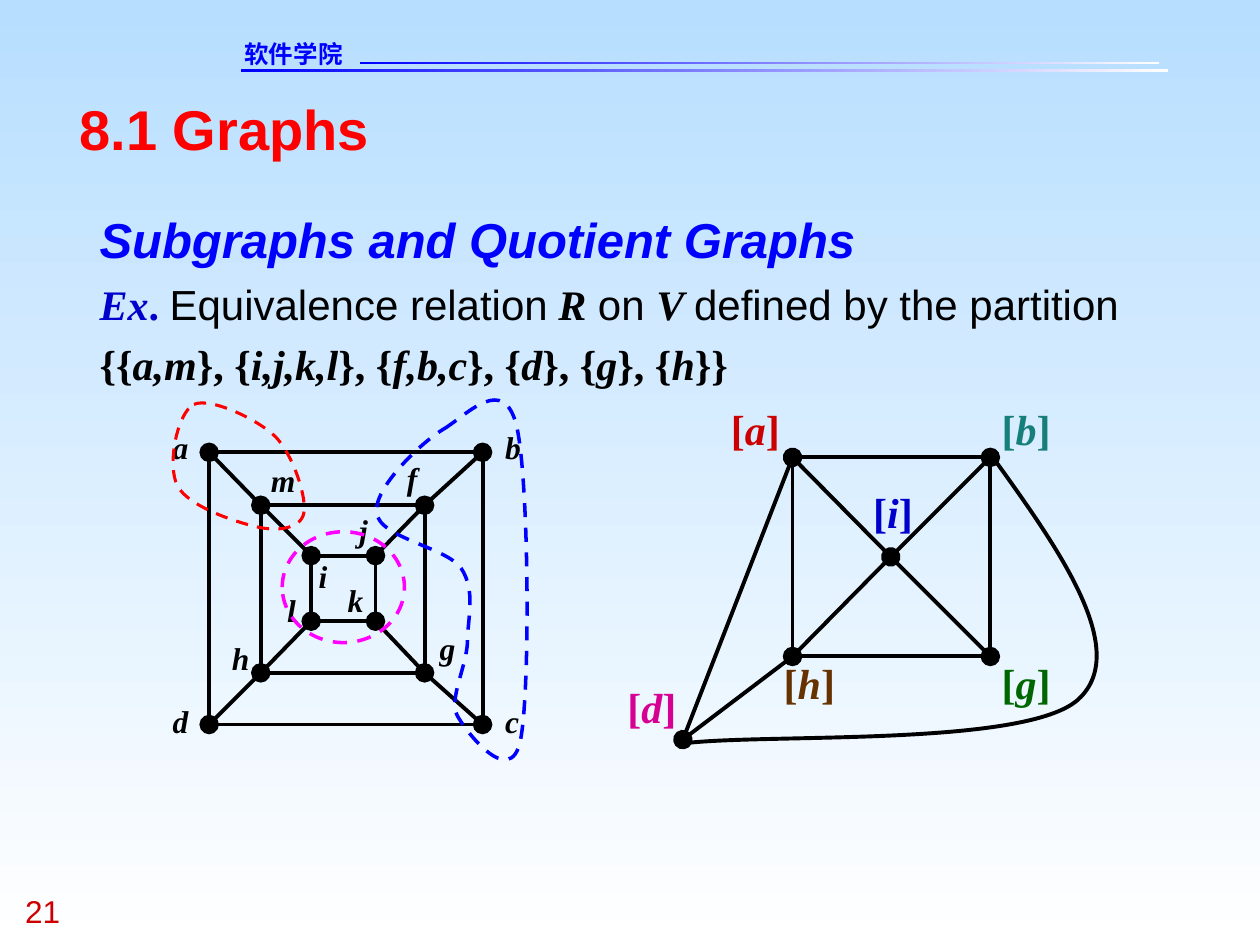
from lxml import etree
from pptx import Presentation, util as u
from pptx.dml.color import RGBColor
from pptx.enum import dml, shapes, text
from pptx.oxml.ns import qn

BLACK = RGBColor(0x00, 0x00, 0x00)
WHITE = RGBColor(0xFF, 0xFF, 0xFF)
SKY = RGBColor(0xB7, 0xDE, 0xFF)
BLUE = RGBColor(0x00, 0x00, 0xFF)
NAVY = RGBColor(0x00, 0x00, 0xCC)
RED = RGBColor(0xFF, 0x00, 0x00)
CRIMSON = RGBColor(0xCC, 0x00, 0x00)
TEAL = RGBColor(0x17, 0x7F, 0x7A)
GREEN = RGBColor(0x00, 0x66, 0x00)
BROWN = RGBColor(0x66, 0x33, 0x00)
PINK = RGBColor(0xD6, 0x00, 0x93)
MAGENTA = RGBColor(0xFF, 0x00, 0xFF)
SANS, SERIF, CHINESE = "Arial", "Times New Roman", "DejaVu Sans"

presentation = Presentation()
presentation.slide_width, presentation.slide_height = u.Inches(10), u.Inches(7.5)
CELL = presentation.slide_width // 10  # grid of 10 columns by 7.5 rows
slide = presentation.slides.add_slide(presentation.slide_layouts[5])


def set_text(shape, place, paragraphs, wrap=True, spacing=1.0):
    """Place a text shape; a run is (words, size, font, colour, style letters)."""
    shape.left, shape.top, shape.width, shape.height = [round(v * CELL) for v in place]
    frame = shape.text_frame
    frame.margin_left = frame.margin_top = frame.margin_right = frame.margin_bottom = 0
    frame.word_wrap = wrap
    frame.auto_size = text.MSO_AUTO_SIZE.NONE
    frame.vertical_anchor = text.MSO_ANCHOR.TOP
    for index, runs in enumerate(paragraphs):
        paragraph = frame.add_paragraph() if index else frame.paragraphs[0]
        paragraph.alignment = text.PP_ALIGN.LEFT
        paragraph.line_spacing = spacing
        for words, size, font, colour, style in runs:
            run = paragraph.add_run()
            run.text = words
            run.font.size, run.font.name = u.Pt(size), font
            run.font.color.rgb = colour
            run.font.bold, run.font.italic = "b" in style, "i" in style


def add_edge(start, end, dots=()):
    """Draw a graph edge, with vertex dots at the named ends."""
    ends = [round(v * CELL) for v in (*start, *end)]
    edge = slide.shapes.add_connector(shapes.MSO_CONNECTOR.STRAIGHT, *ends)
    edge.line.color.rgb, edge.line.width = BLACK, u.Pt(2.25)
    properties = edge._element.spPr
    for name in dots:
        etree.SubElement(properties.find(qn("a:ln")), qn(f"a:{name}"),
                         type="oval", w="lg", len="lg")
    etree.SubElement(properties, qn("a:effectLst"))


# Background and header rules
fills = [(slide.background.fill, SKY, WHITE, 270)]
for place in ((1.91, 0.55, 7.36, 0.02), (2.86, 0.49, 6.34, 0.02)):
    rule = slide.shapes.add_shape(shapes.MSO_SHAPE.RECTANGLE, *[round(v * CELL) for v in place])
    rule.shadow.inherit = False
    rule.line.fill.background()
    fills.append((rule.fill, WHITE, BLUE, 180))
for fill, first, last, angle in fills:
    fill.gradient()
    fill.gradient_angle = angle
    for stop, colour in zip(fill.gradient_stops, (first, last)):
        stop.color.rgb = colour

# Header, page number and title
set_text(slide.shapes.add_textbox(0, 0, 0, 0), (1.94, 0.31, 1.45, 0.23),
         [[("软件学院", 14, CHINESE, BLUE, "b")]])
set_text(slide.shapes.add_textbox(0, 0, 0, 0), (0.2, 7.08, 0.75, 0.3),
         [[("21", 18, SANS, CRIMSON, "")]])
set_text(slide.shapes.title, (0.63, 0.75, 8.75, 0.53),
         [[("8.1 Graphs", 32, SANS, RED, "b")]])

# Example text
example = [("Ex", 24, SERIF, NAVY, "bi"), (". ", 24, SERIF, NAVY, "b")]
for words, font, style in (("Equivalence relation", SANS, ""), (" R", SERIF, "bi"),
                           (" on ", SANS, ""), ("V ", SERIF, "bi"),
                           ("defined by the partition", SANS, "")):
    example.append((words, 24, font, BLACK, style))
opening = " {{"
for members in ("a,m", "i,j,k,l", "f,b,c", "d", "g", "h"):
    example.append((opening, 24, SERIF, BLACK, "b"))
    example.append((members, 24, SERIF, BLACK, "bi"))
    opening = "}, {"
example.append(("}}", 24, SERIF, BLACK, "b"))
set_text(slide.shapes.add_textbox(0, 0, 0, 0), (0.79, 1.57, 9.01, 1.52),
         [[("Subgraphs and Quotient Graphs", 28, SANS, BLUE, "bi")], example], spacing=1.2)

# Left graph: nested squares joined corner to corner
squares = [(1.66, 3.59, 3.83, 5.75), (2.07, 4.01, 3.37, 5.34), (2.47, 4.41, 2.98, 4.93)]
corners = [[(left, top), (right, top), (right, bottom), (left, bottom)]
           for left, top, right, bottom in squares]
for square in corners:
    for side in range(4):
        dots = ("headEnd", "tailEnd") if side % 2 == 0 else ()
        add_edge(square[side], square[(side + 1) % 4], dots)
for outer, inner in zip(corners, corners[1:]):
    for start, end in zip(outer, inner):
        add_edge(start, end)

for letter, left, top, width in (
        ("a", 1.37, 3.4, 0.13), ("b", 4.01, 3.4, 0.13), ("c", 4.01, 5.57, 0.11),
        ("d", 1.37, 5.57, 0.13), ("h", 1.84, 5.07, 0.14), ("i", 2.53, 4.42, 0.07),
        ("j", 2.85, 4.06, 0.07), ("g", 3.49, 4.99, 0.13), ("m", 2.15, 3.66, 0.2),
        ("f", 3.23, 3.64, 0.08), ("k", 2.76, 4.61, 0.13), ("l", 2.28, 4.69, 0.07)):
    set_text(slide.shapes.add_textbox(0, 0, 0, 0), (left, top, width, 0.3),
             [[(letter, 18, SERIF, BLACK, "bi")]], wrap=False)

# Right graph: the quotient graph
vertices = {"a": (6.29, 3.63), "b": (7.86, 3.63), "g": (7.86, 5.21),
            "h": (6.29, 5.21), "i": (7.07, 4.42), "d": (5.42, 5.87)}
for start, end, dots in (
        ("a", "h", ["tailEnd"]), ("g", "b", ["headEnd"]), ("a", "b", ["tailEnd"]),
        ("h", "g", []), ("a", "i", ["headEnd", "tailEnd"]), ("b", "i", []),
        ("h", "d", []), ("a", "d", ["tailEnd"]), ("i", "h", []), ("i", "g", [])):
    add_edge(vertices[start], vertices[end], dots)

for letter, left, top, width, colour in (
        ("a", 5.8, 3.2, 0.39, CRIMSON), ("b", 7.95, 3.2, 0.39, TEAL),
        ("g", 7.95, 5.22, 0.39, GREEN), ("h", 6.22, 5.22, 0.41, BROWN),
        ("i", 6.93, 3.86, 0.32, NAVY), ("d", 4.98, 5.41, 0.39, PINK)):
    runs = [(words, 24, SERIF, colour, style)
            for words, style in (("[", "b"), (letter, "bi"), ("]", "b"))]
    set_text(slide.shapes.add_textbox(0, 0, 0, 0), (left, top, width, 0.4), [runs], wrap=False)

# Curves in hundredths of a cell: a start, then three Bezier points per segment
edge_bd = [(788, 363), (843, 439), (897, 517), (856, 555), (815, 593), (608, 582), (543, 590)]
class_a = [(154, 321), (167, 315), (205, 333), (219, 347), (233, 362), (244, 396), (241, 408),
           (238, 420), (219, 422), (203, 418), (186, 414), (150, 402), (141, 386),
           (132, 369), (141, 327), (154, 321)]
class_b = [(353, 340), (372, 328), (400, 297), (410, 338), (420, 380), (421, 550), (413, 588),
           (405, 626), (370, 581), (363, 568), (356, 555), (370, 530), (371, 510),
           (371, 491), (378, 469), (366, 451), (354, 434), (301, 427), (299, 407),
           (296, 388), (334, 351), (353, 340)]
outlines = []
for points, colour, width, closed in ((edge_bd, BLACK, 2.25, False),
                                      (class_a, RED, 1.75, True), (class_b, BLUE, 2, True)):
    builder = slide.shapes.build_freeform(*points[0], scale=CELL / 100)
    builder.add_line_segments(points[1:], close=closed)
    curve = builder.convert_to_shape()
    segments = list(curve._element.iter(qn("a:lnTo")))
    for first, second, third in zip(segments[::3], segments[1::3], segments[2::3]):
        first.tag = qn("a:cubicBezTo")
        for segment in (second, third):
            first.append(segment[0])
            segment.getparent().remove(segment)
    outlines.append((curve, colour, width, closed))

# Class of i, then the line style of every outline
ellipse = slide.shapes.add_shape(shapes.MSO_SHAPE.OVAL,
                                 *[round(v * CELL) for v in (2.24, 4.22, 0.97, 0.88)])
outlines.append((ellipse, MAGENTA, 2, True))
for shape, colour, width, dashed in outlines:
    shape.shadow.inherit = False
    shape.fill.background()
    shape.line.color.rgb, shape.line.width = colour, u.Pt(width)
    if dashed:
        shape.line.dash_style = dml.MSO_LINE.DASH

presentation.save("out.pptx")
